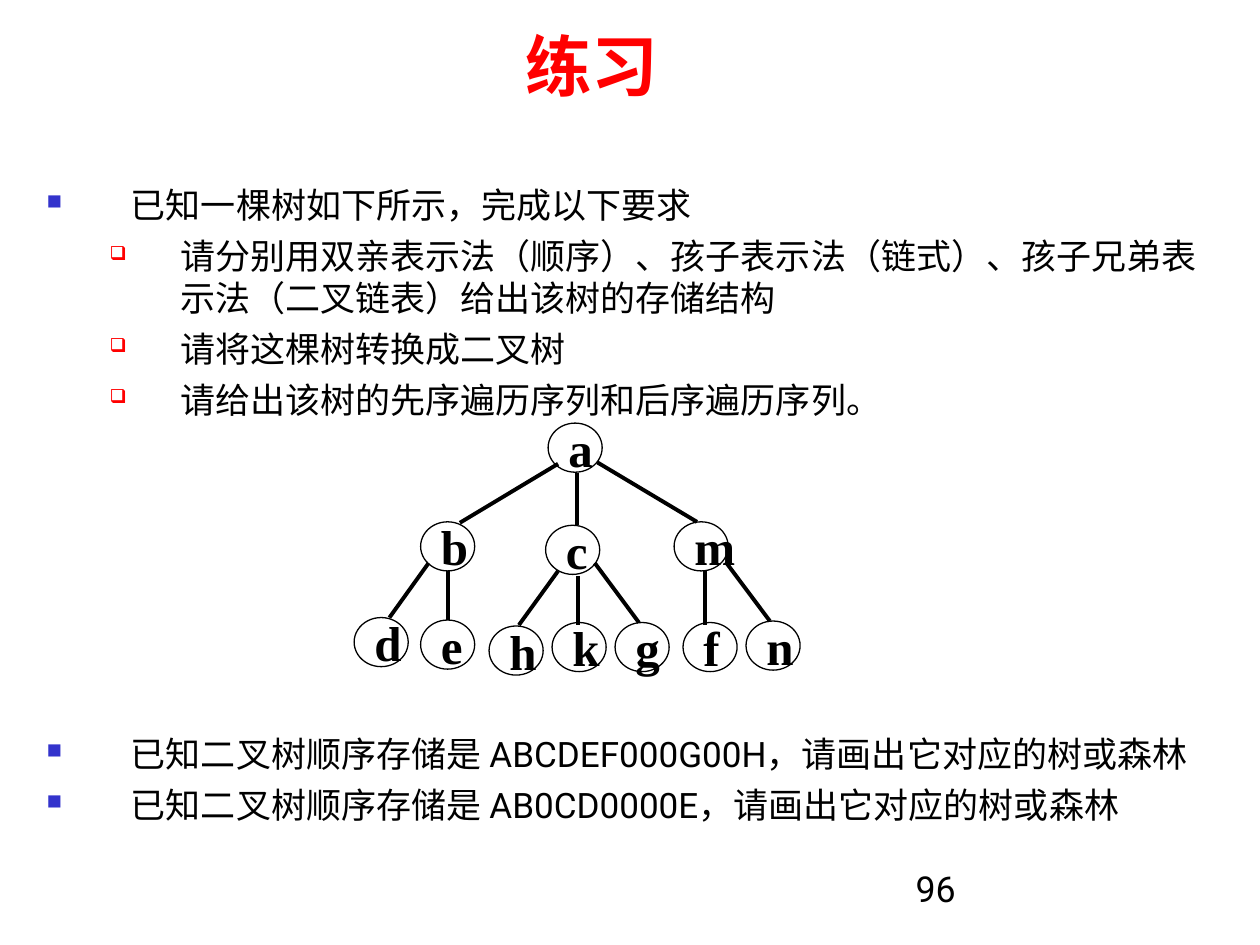
import pptx
import pptx.dml.color
import pptx.enum.shapes
import pptx.enum.text
import pptx.oxml.ns
import pptx.util
from lxml import etree

Cm = pptx.util.Cm
Pt = pptx.util.Pt
qn = pptx.oxml.ns.qn
ALIGN = pptx.enum.text.PP_ALIGN
ANCHOR = pptx.enum.text.MSO_ANCHOR

CJK = "Noto Sans CJK SC"
NODE_W, NODE_H = 1.09, 0.99

# Bullet levels: left margin and hanging indent in cm, bullet, colour, size %
LEVELS = [
    (1.7, 1.7, "■", "3333CC", 60),
    (2.69, 1.42, "❑", "FF0000", 55),
]

# Each item is a level and its (text, font) runs
TREE_TASKS = [
    (0, [("已知一棵树如下所示，完成以下要求", CJK)]),
    (1, [("请分别用双亲表示法（顺序）、孩子表示法（链式）、孩子兄弟表示法（二叉链表）给出该树的存储结构", "Roboto")]),
    (1, [("请将这棵树转换成二叉树", "Roboto")]),
    (1, [("请给出该树的先序遍历序列和后序遍历序列。", "Roboto")]),
]
STORAGE_TASKS = [
    (0, [("已知二叉树顺序存储是 ", CJK),
         (f"{sequence}，请画出它对应的树或森林", "Roboto")])
    for sequence in ("ABCDEF000G00H", "AB0CD0000E")
]

# Left and top of each tree node, in cm
NODES = {
    "a": (11.05, 8.53),
    "b": (8.48, 10.52), "c": (11, 10.59), "m": (13.59, 10.52),
    "d": (7.14, 12.45), "e": (8.48, 12.5),
    "h": (9.86, 12.62), "k": (11.13, 12.55), "g": (12.4, 12.55),
    "f": (13.77, 12.55), "n": (15.04, 12.52),
}

# Start and end of each branch, in cm
BRANCHES = [
    (11.25, 9.35, 9.27, 10.54),     # a-b
    (11.63, 9.53, 11.63, 10.59),    # a-c
    (12.04, 9.32, 14.05, 10.52),    # a-m
    (8.64, 11.35, 7.85, 12.45),     # b-d
    (9.04, 11.51, 9.04, 12.5),      # b-e
    (11.25, 11.51, 10.46, 12.6),    # c-h
    (11.66, 11.61, 11.66, 12.6),    # c-k
    (11.99, 11.35, 12.88, 12.55),   # c-g
    (14.22, 11.51, 14.22, 12.6),    # m-f
    (14.63, 11.33, 15.52, 12.52),   # m-n
]


def rgb(value):
    return pptx.dml.color.RGBColor.from_string(value)


def format_run(r, size, font, color="000000", bold=False):
    r.font.size = Pt(size)
    r.font.bold = bold
    r.font.color.rgb = rgb(color)
    r.font.name = font
    ea = etree.SubElement(r.font._element, qn("a:ea"))
    ea.set("typeface", CJK)


def add_text_box(s, left, top, width, height):
    tf = s.shapes.add_textbox(Cm(left), Cm(top), Cm(width), Cm(height)).text_frame
    tf.word_wrap = True
    return tf


def add_label(s, box, text, size, color="000000", bold=False,
              align=ALIGN.LEFT, anchor=ANCHOR.TOP):
    tf = add_text_box(s, *box)
    tf.vertical_anchor = anchor
    tf.text = text
    p = tf.paragraphs[0]
    p.alignment = align
    format_run(p.runs[0], size, "Roboto", color, bold)


def set_bullet(p, level):
    margin, hanging, char, color, percent = LEVELS[level]
    p.level = level
    pPr = p._p.get_or_add_pPr()
    pPr.set("marL", str(Cm(margin)))
    pPr.set("indent", str(-Cm(hanging)))
    clr = etree.SubElement(pPr, qn("a:buClr"))
    etree.SubElement(clr, qn("a:srgbClr")).set("val", color)
    etree.SubElement(pPr, qn("a:buSzPct")).set("val", str(percent * 1000))
    etree.SubElement(pPr, qn("a:buChar")).set("char", char)


def add_bullets(s, box, items):
    tf = add_text_box(s, *box)
    for i, (level, runs) in enumerate(items):
        p = tf.add_paragraph() if i else tf.paragraphs[0]
        set_bullet(p, level)
        p.line_spacing = Pt(24)
        if i:
            p.space_before = Pt(5)
        for text, font in runs:
            r = p.add_run()
            r.text = text
            format_run(r, 20, font)


def add_branch(group, x1, y1, x2, y2):
    line = group.shapes.add_connector(
        pptx.enum.shapes.MSO_CONNECTOR.STRAIGHT, Cm(x1), Cm(y1), Cm(x2), Cm(y2))
    line.line.color.rgb = rgb("000000")
    line.line.width = Pt(2.25)
    etree.SubElement(line._element.spPr, qn("a:effectLst"))


def add_node(group, name, left, top):
    node = group.shapes.add_shape(
        pptx.enum.shapes.MSO_SHAPE.OVAL, Cm(left), Cm(top), Cm(NODE_W), Cm(NODE_H))
    node.shadow.inherit = False
    node.fill.background()
    node.line.color.rgb = rgb("000000")
    node.line.width = Pt(0.75)
    tf = node.text_frame
    tf.word_wrap = False
    tf.vertical_anchor = ANCHOR.MIDDLE
    tf.text = name
    p = tf.paragraphs[0]
    p.alignment = ALIGN.LEFT
    format_run(p.runs[0], 28, "Times New Roman", bold=True)


def add_tree(s):
    group = s.shapes.add_group_shape()
    for branch in BRANCHES:
        add_branch(group, *branch)
    for name, (left, top) in NODES.items():
        add_node(group, name, left, top)


def main():
    prs = pptx.Presentation()
    prs.slide_width, prs.slide_height = Cm(25.4), Cm(19.05)
    s = prs.slides.add_slide(prs.slide_layouts[6])

    # Title and page number
    add_label(s, (0.5, 0.43, 22.86, 1.8), "练习", 38, "FF0000", True,
              ALIGN.CENTER, ANCHOR.BOTTOM)
    add_label(s, (18.21, 17.35, 5.92, 1.27), "96", 20.4)

    # Exercises above and below the tree
    add_bullets(s, (0.69, 3.58, 24, 4.9), TREE_TASKS)
    add_bullets(s, (0.69, 14.65, 24, 2.2), STORAGE_TASKS)

    # Tree diagram
    add_tree(s)

    prs.save("out.pptx")


if __name__ == "__main__":
    main()
